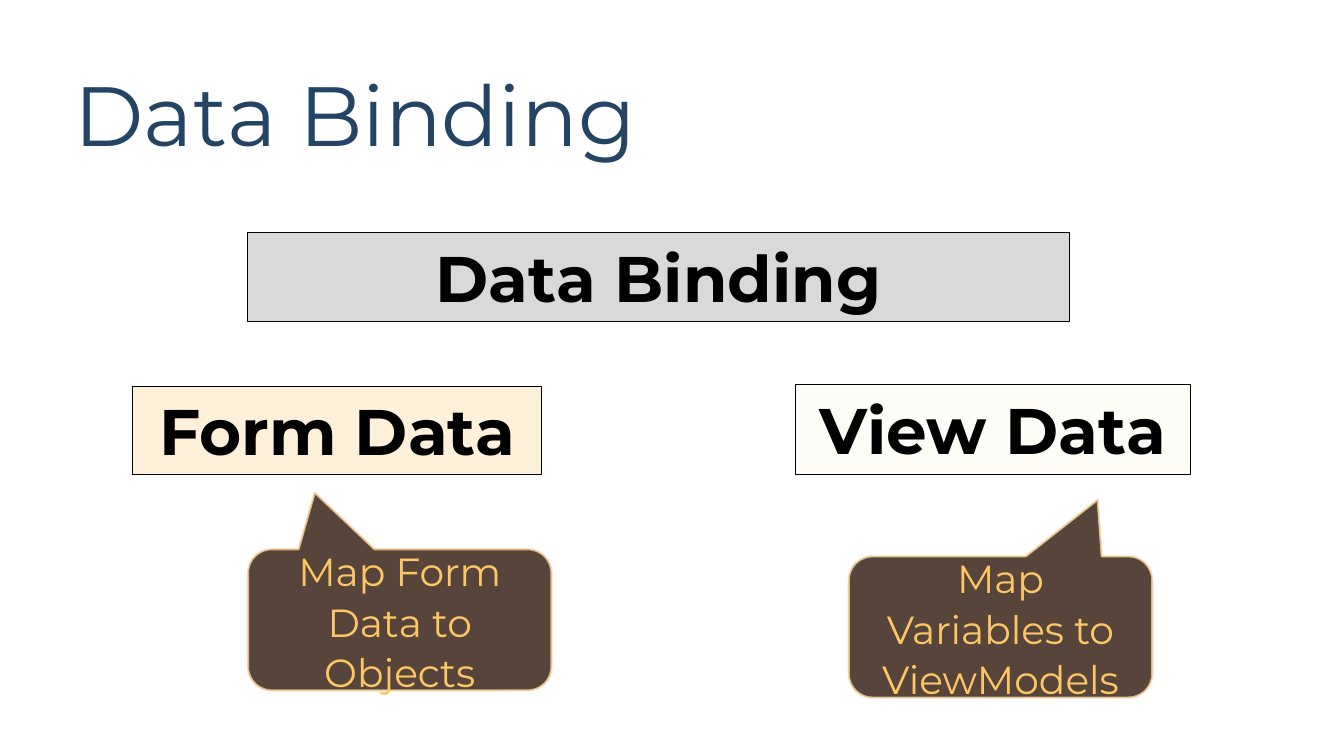
from lxml.etree import SubElement
from pptx import Presentation
from pptx.dml.color import RGBColor
from pptx.enum.shapes import MSO_SHAPE as SHAPE
from pptx.enum.text import MSO_ANCHOR as ANCHOR, PP_ALIGN as ALIGN
from pptx.oxml.ns import qn
from pptx.util import Cm, Pt

FONT = "Montserrat"
TITLE = ("Data Binding", (1.63, 1.68, 32.21, 2.64))
BOXES = [
    ("Data Binding", (6.25, 5.87, 20.7, 2.24), "000000"),
    ("Form Data", (3.35, 9.73, 10.31, 2.24), "FFA000"),
    ("View Data", (20.04, 9.7, 9.96, 2.26), "FBEEC9"),
]
CALLOUT_SIZE = (7.65, 3.56)
CALLOUTS = [
    ("Map Form Data to Objects", (6.25, 13.84), -0.28),
    ("Map Variables to ViewModels", (21.39, 14.02), 0.32),
]
TITLE_TEXT = {"size": Pt(60), "bold": False, "color": "234465"}
BOX_TEXT = {"size": Pt(46), "bold": True, "color": "000000"}
CALLOUT_TEXT = {"size": Pt(28), "bold": False, "color": "FFC666"}


def rgb(value):
    return RGBColor.from_string(value)


def paint(fill, parent, color, opacity):
    fill.solid()
    fill.fore_color.rgb = rgb(color)
    clr = parent.find(qn("a:solidFill")).find(qn("a:srgbClr"))
    SubElement(clr, qn("a:alpha")).set("val", str(opacity * 1000))


def write(sp, text, style, anchor, align, spacing):
    tf = sp.text_frame
    tf.word_wrap = True
    tf.vertical_anchor = anchor
    p = tf.paragraphs[0]
    p.alignment = align
    p.line_spacing = spacing
    r = p.add_run()
    r.text = text
    r.font.name = FONT
    for name, value in style.items():
        if name == "color":
            r.font.color.rgb = rgb(value)
        else:
            setattr(r.font, name, value)


def add_panel(s, kind, at, fill, line):
    sp = s.shapes.add_shape(kind, *map(Cm, at))
    sp.shadow.inherit = False
    paint(sp.fill, sp._element.spPr, *fill)
    color, opacity, width = line
    sp.line.width = Pt(width)
    paint(sp.line.fill, sp._element.spPr.find(qn("a:ln")), color, opacity)
    return sp


def main():
    prs = Presentation()
    prs.slide_width, prs.slide_height = Cm(33.87), Cm(19.05)
    s = prs.slides.add_slide(prs.slide_layouts[6])

    text, at = TITLE
    sp = s.shapes.add_textbox(*map(Cm, at))
    write(sp, text, TITLE_TEXT, ANCHOR.MIDDLE, ALIGN.LEFT, 0.9)

    for text, at, color in BOXES:
        sp = add_panel(s, SHAPE.RECTANGLE, at, (color, 15), ("000000", 100, 0.75))
        write(sp, text, BOX_TEXT, ANCHOR.TOP, ALIGN.CENTER, 1.0)

    for text, corner, tip in CALLOUTS:
        sp = add_panel(s, SHAPE.ROUNDED_RECTANGULAR_CALLOUT, corner + CALLOUT_SIZE,
                       ("4E3B30", 95), ("F8D49E", 80, 1.5))
        for i, value in enumerate((tip, -0.9, 0.17)):
            sp.adjustments[i] = value
        write(sp, text, CALLOUT_TEXT, ANCHOR.MIDDLE, ALIGN.CENTER, 1.07)

    prs.save("out.pptx")


if __name__ == "__main__":
    main()
